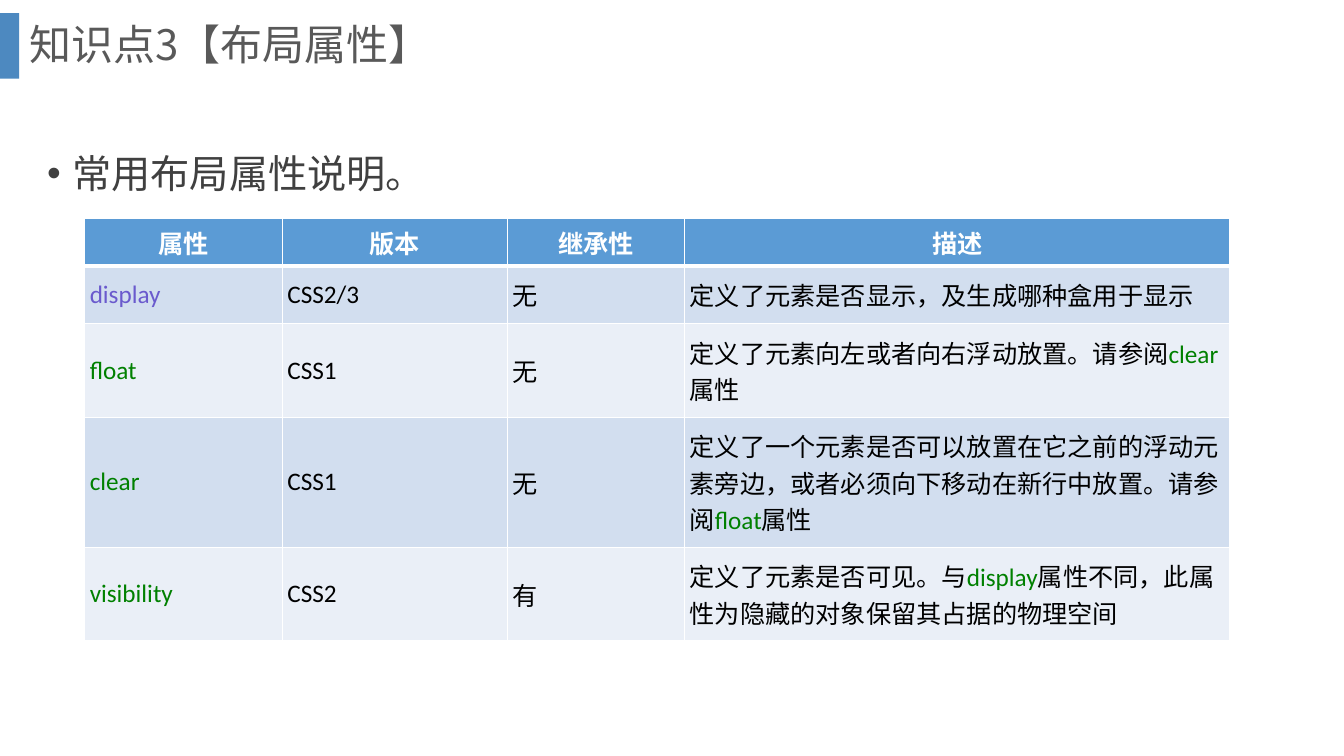
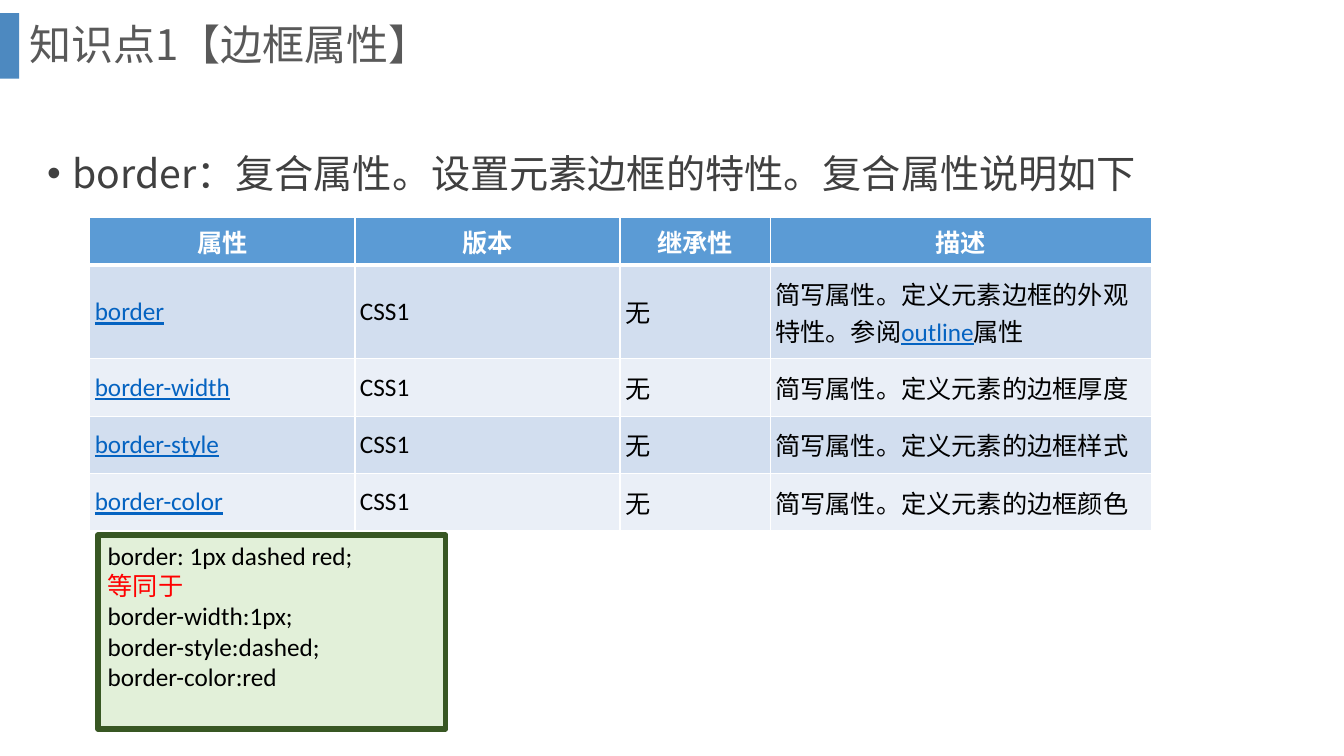
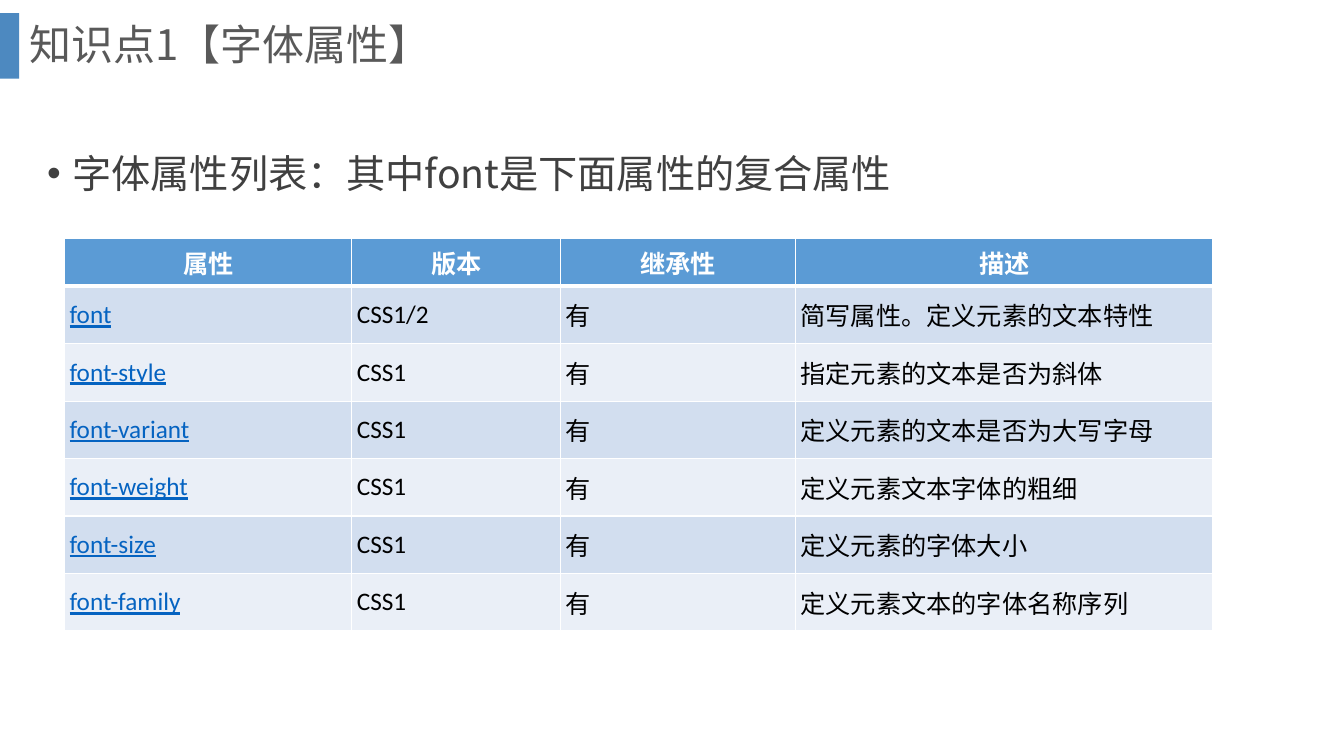
from math import ceil

from lxml.etree import SubElement
from pptx import Presentation
from pptx.dml.color import RGBColor
from pptx.enum.shapes import MSO_SHAPE
from pptx.enum.text import MSO_ANCHOR, PP_ALIGN
from pptx.oxml.ns import qn
from pptx.util import Inches, Pt

CJK = "Noto Sans CJK SC"
TITLE = {"size": 30, "name": CJK, "color": "595959"}
POINT = {"size": 28, "name": CJK, "color": "404040"}
HEADING = {"size": 18, "name": "Calibri", "color": "FFFFFF", "bold": True}
CELL = {"size": 18, "name": "Calibri", "color": "000000", "bold": False}
GREEN = {**CELL, "color": "008000"}
VIOLET = {**CELL, "color": "6A5ACD"}
LINKED = {**CELL, "color": "0563C1", "underline": True}
CODE = {"size": 18, "name": "Calibri", "color": "000000"}

HEADINGS = ["属性", "版本", "继承性", "描述"]
HEADING_FILL, BANDS = "5B9BD5", ["D2DEEF", "EAEFF7"]
SIDE_MARGIN, HEADING_MARGIN, CELL_MARGIN = 0.05, 0.05, 0.1
CHARACTER_WIDTH, LINE_HEIGHT = 0.25, 0.36

# Words between bars in a description take the keyword format.
TOPICS = [
    {
        "title": "知识点3【布局属性】",
        "point": "常用布局属性说明。",
        "corner": (0.84, 2.17),
        "columns": [1.96, 2.23, 1.76, 5.41],
        "keyword": GREEN,
        "first_keyword": VIOLET,
        "properties": [
            ("display", "CSS2/3", "无", "定义了元素是否显示，及生成哪种盒用于显示"),
            ("float", "CSS1", "无", "定义了元素向左或者向右浮动放置。请参阅|clear|属性"),
            ("clear", "CSS1", "无", "定义了一个元素是否可以放置在它之前的浮动元素旁边，"
             "或者必须向下移动在新行中放置。请参阅|float|属性"),
            ("visibility", "CSS2", "有", "定义了元素是否可见。与|display|属性不同，"
             "此属性为隐藏的对象保留其占据的物理空间"),
        ],
    },
    {
        "title": "知识点1【边框属性】",
        "point": "border：复合属性。设置元素边框的特性。复合属性说明如下",
        "corner": (0.89, 2.16),
        "columns": [2.63, 2.63, 1.49, 3.78],
        "keyword": LINKED,
        "first_keyword": LINKED,
        "properties": [
            ("border", "CSS1", "无", "简写属性。定义元素边框的外观特性。参阅|outline|属性"),
            ("border-width", "CSS1", "无", "简写属性。定义元素的边框厚度"),
            ("border-style", "CSS1", "无", "简写属性。定义元素的边框样式"),
            ("border-color", "CSS1", "无", "简写属性。定义元素的边框颜色"),
        ],
        "example": ["border: 1px dashed red;", "等同于", "border-width:1px;",
                    "border-style:dashed;", "border-color:red"],
    },
    {
        "title": "知识点1【字体属性】",
        "point": "字体属性列表：其中font是下面属性的复合属性",
        "corner": (0.64, 2.37),
        "columns": [2.85, 2.07, 2.33, 4.14],
        "keyword": LINKED,
        "first_keyword": LINKED,
        "properties": [
            ("font", "CSS1/2", "有", "简写属性。定义元素的文本特性"),
            ("font-style", "CSS1", "有", "指定元素的文本是否为斜体"),
            ("font-variant", "CSS1", "有", "定义元素的文本是否为大写字母"),
            ("font-weight", "CSS1", "有", "定义元素文本字体的粗细"),
            ("font-size", "CSS1", "有", "定义元素的字体大小"),
            ("font-family", "CSS1", "有", "定义元素文本的字体名称序列"),
        ],
    },
]


def paint(target, color):
    """Give a fill or a line fill one solid hex colour."""
    target.solid()
    target.fore_color.rgb = RGBColor.from_string(color)


def write(paragraph, text, style, east_asian=CJK):
    """Add a run whose font attributes come from the style dict."""
    run = paragraph.add_run()
    run.text = text
    for attribute, value in style.items():
        if attribute == "color":
            paint(run.font.fill, value)
        else:
            setattr(run.font, attribute, Pt(value) if attribute == "size" else value)
    SubElement(run.font._element, qn("a:ea"), typeface=east_asian)


deck = Presentation()
deck.slide_width, deck.slide_height = Inches(13.33), Inches(7.5)

for topic in TOPICS:
    slide = deck.slides.add_slide(deck.slide_layouts[6])

    accent = slide.shapes.add_shape(
        MSO_SHAPE.RECTANGLE, 0, Inches(0.13), Inches(0.19), Inches(0.65))
    accent.shadow.inherit = False
    accent.line.fill.background()
    paint(accent.fill, "2E75B6")
    accent_color = accent.fill._xPr.find(qn("a:solidFill"))[0]
    SubElement(accent_color, qn("a:alpha"), val="85000")

    point = slide.shapes.add_textbox(
        Inches(0.37), Inches(1.2), Inches(12.05), Inches(5.6)).text_frame
    point.word_wrap = True
    bullet = point.paragraphs[0]
    bullet.line_spacing, bullet.space_before = 1.5, Pt(10)
    indent = bullet._p.get_or_add_pPr()
    indent.set("marL", str(Inches(0.25)))
    indent.set("indent", str(-Inches(0.25)))
    SubElement(indent, qn("a:buFont"), typeface="Arial")
    SubElement(indent, qn("a:buChar"), char="•")
    write(bullet, topic["point"], POINT)

    title = slide.shapes.add_textbox(
        Inches(0.19), 0, Inches(12.66), Inches(0.93)).text_frame
    title.word_wrap, title.vertical_anchor = True, MSO_ANCHOR.MIDDLE
    title.paragraphs[0].line_spacing = 0.9
    write(title.paragraphs[0], topic["title"], TITLE)

    rows = [HEADINGS, *topic["properties"]]
    text_width = topic["columns"][-1] - 2 * SIDE_MARGIN
    row_heights = []
    for row_index, row in enumerate(rows):
        characters = len(row[-1].replace("|", ""))
        lines = ceil(characters * CHARACTER_WIDTH / text_width)
        margin = CELL_MARGIN if row_index else HEADING_MARGIN
        row_heights.append(lines * LINE_HEIGHT + 2 * margin + 0.01)

    left, top = topic["corner"]
    table = slide.shapes.add_table(
        len(rows), len(HEADINGS), Inches(left), Inches(top),
        Inches(sum(topic["columns"])), Inches(sum(row_heights))).table
    for column, width in zip(table.columns, topic["columns"]):
        column.width = Inches(width)

    for row_index, row in enumerate(rows):
        is_heading = row_index == 0
        table.rows[row_index].height = Inches(row_heights[row_index])
        for column_index, text in enumerate(row):
            cell = table.cell(row_index, column_index)
            cell.vertical_anchor = MSO_ANCHOR.MIDDLE
            cell.margin_left = cell.margin_right = Inches(SIDE_MARGIN)
            cell.margin_top = cell.margin_bottom = Inches(
                HEADING_MARGIN if is_heading else CELL_MARGIN)

            borders = cell._tc.get_or_add_tcPr()
            for side in ("lnL", "lnR", "lnT", "lnB"):
                under_heading = (row_index, side) in ((0, "lnB"), (1, "lnT"))
                border = SubElement(borders, qn(f"a:{side}"),
                                    w=str(Pt(3 if under_heading else 1)))
                SubElement(SubElement(border, qn("a:solidFill")),
                           qn("a:srgbClr"), val="FFFFFF")
            paint(cell.fill, HEADING_FILL if is_heading else BANDS[(row_index - 1) % 2])

            paragraph = cell.text_frame.paragraphs[0]
            if is_heading:
                paragraph.alignment = PP_ALIGN.CENTER
                write(paragraph, text, HEADING)
            elif column_index == 0:
                write(paragraph, text,
                      topic["first_keyword" if row_index == 1 else "keyword"])
            else:
                for part_index, part in enumerate(text.split("|")):
                    write(paragraph, part, topic["keyword"] if part_index % 2 else CELL)

    if "example" in topic:
        example = slide.shapes.add_shape(
            MSO_SHAPE.RECTANGLE, Inches(0.97), Inches(5.31), Inches(3.45), Inches(1.92))
        example.shadow.inherit = False
        paint(example.fill, "E2F0D9")
        paint(example.line.fill, "385723")
        example.line.width = Pt(4)
        code = example.text_frame
        code.word_wrap, code.vertical_anchor = True, MSO_ANCHOR.TOP
        for line_index, line in enumerate(topic["example"]):
            paragraph = code.add_paragraph() if line_index else code.paragraphs[0]
            paragraph.alignment = PP_ALIGN.LEFT
            color = "FF0000" if line == "等同于" else CODE["color"]
            write(paragraph, line, {**CODE, "color": color}, east_asian="Calibri")

deck.save("out.pptx")
